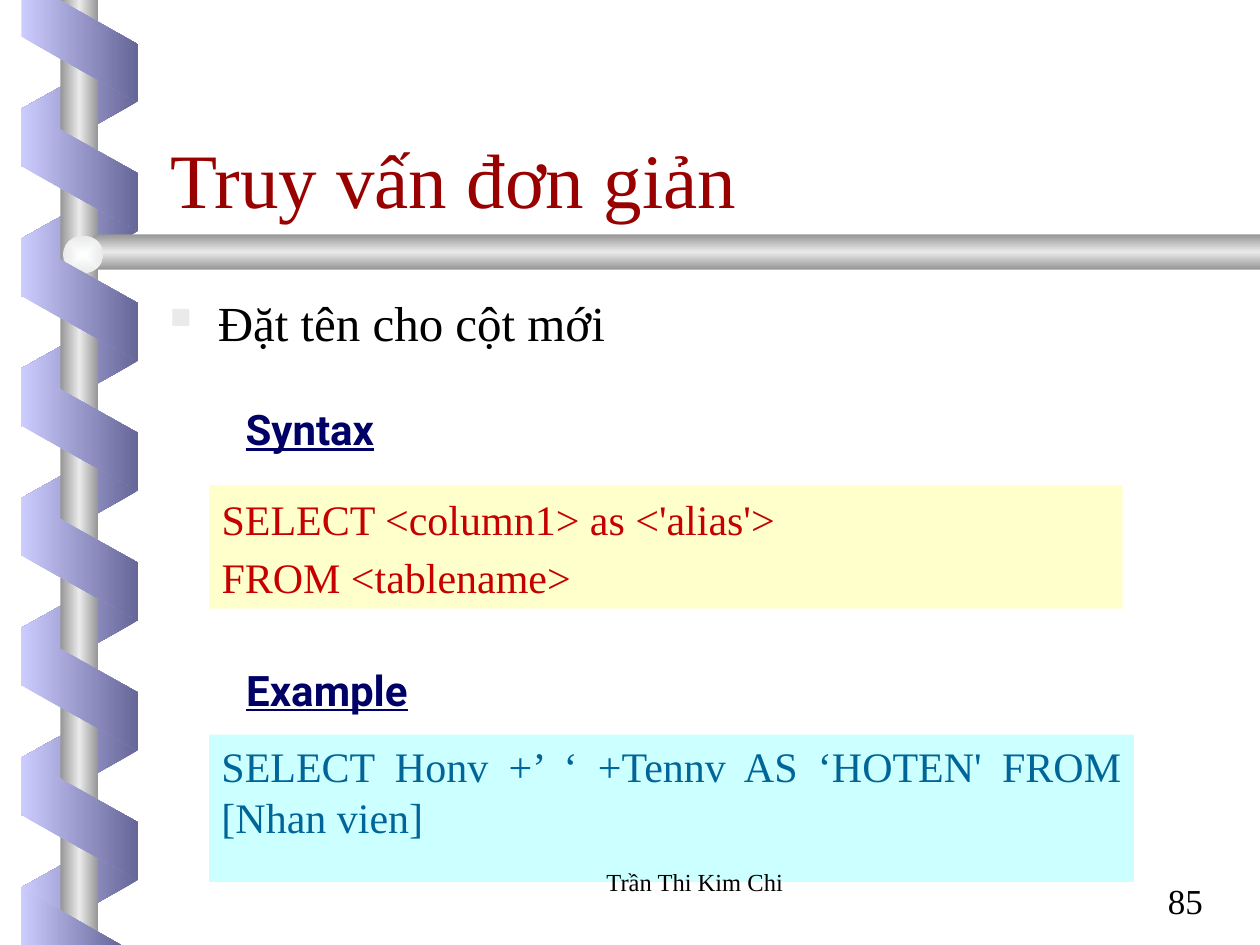
from pptx import Presentation
from pptx.dml.color import RGBColor
from pptx.enum.shapes import MSO_SHAPE as SHAPE
from pptx.enum.text import MSO_ANCHOR as ANCHOR, PP_ALIGN as ALIGN
from pptx.oxml import parse_xml
from pptx.oxml.ns import nsdecls
from pptx.util import Inches, Pt

SERIF, SANS = "Times New Roman", "Roboto"
LIGHT, DARK = "CCCCFF", "666699"
STEEL = ("969696", "EAEAEA", "969696")


def rgb(value):
    return RGBColor.from_string(value)


def box_in(left, top, width, height):
    return [Inches(v) for v in (left, top, width, height)]


def set_gradient(s, colors, angle=0, radial=False):
    """Fill s with evenly spaced colours, which keep their direction when s turns."""
    stops = "".join(
        f'<a:gs pos="{100000 * i // (len(colors) - 1)}"><a:srgbClr val="{c}"/></a:gs>'
        for i, c in enumerate(colors))
    if radial:
        course = ('<a:path path="shape"><a:fillToRect l="50000" t="50000" '
                  'r="50000" b="50000"/></a:path>')
    else:
        course = f'<a:lin ang="{angle * 60000}" scaled="1"/>'
    s.shadow.inherit = False
    s.line.fill.background()
    s.fill.background()
    no_fill = s._element.spPr.find("{*}noFill")
    no_fill.getparent().replace(no_fill, parse_xml(
        f'<a:gradFill rotWithShape="0" {nsdecls("a")}>'
        f'<a:gsLst>{stops}</a:gsLst>{course}</a:gradFill>'))


def add_preset(slide, kind, box, adj=None, flip=False, rotation=0):
    s = slide.shapes.add_shape(kind, *box_in(*box))
    if adj is not None:
        s.adjustments[0] = adj
    s.rotation = rotation
    if flip:
        s._element.spPr.xfrm.set("flipH", "1")
    return s


def add_bands(slide, left, top, count, pitch, rotation, flip, colors):
    for i in range(count):
        s = add_preset(slide, SHAPE.PARALLELOGRAM, (left, top + i * pitch, 0.98, 0.93),
                       0.56, flip, rotation)
        set_gradient(s, colors)


def add_band_end(slide, points):
    (x, y), *rest = [(Inches(px), Inches(py)) for px, py in points]
    builder = slide.shapes.build_freeform(x, y)
    builder.add_line_segments(rest, close=True)
    set_gradient(builder.convert_to_shape(), (LIGHT, DARK))


def add_spiral(slide, left, height):
    """Ribbon wound round a vertical rod, with a bar pinned across it."""
    pitch = 1.03
    add_bands(slide, left, 0.37, 7, pitch, 90, True, (DARK, LIGHT))
    rod = add_preset(slide, SHAPE.RECTANGLE, (left + 0.34, 0, 0.3, height))
    set_gradient(rod, STEEL)
    bar = add_preset(slide, SHAPE.PENTAGON, (left + 0.46, 1.86, 9.4, 0.28), 0.59, True)
    set_gradient(bar, STEEL, 90)
    pin = add_preset(slide, SHAPE.OVAL, (left + 0.36, 1.87, 0.32, 0.3))
    set_gradient(pin, ("FEFFFF", "EAEAEA"), radial=True)
    add_bands(slide, left, 0.88, 6, pitch, 270, False, (LIGHT, DARK))
    x = left + 0.03
    add_band_end(slide, [(x, 0), (x, 0.29), (x + 0.92, 0.81), (x + 0.92, 0.35), (x + 0.3, 0)])
    add_band_end(slide, [(x, height - 0.45), (x, height), (x + 0.79, height)])


def format_text(s, text, size, color, font=SERIF, align=ALIGN.LEFT,
                anchor=ANCHOR.TOP, wrap=True, bold=None, underline=None):
    tf = s.text_frame
    tf.text = text
    tf.word_wrap = wrap
    tf.vertical_anchor = anchor
    for i, p in enumerate(tf.paragraphs):
        p.alignment = align
        if i:
            p.space_before = Pt(size * 0.2)
        for r in p.runs:
            r.font.name, r.font.size = font, Pt(size)
            r.font.bold, r.font.underline = bold, underline
            r.font.color.rgb = rgb(color)


def add_text(slide, box, text, size, color="000000", **style):
    s = slide.shapes.add_textbox(*box_in(*box))
    format_text(s, text, size, color, **style)
    return s


def add_title(slide, box, text):
    s = slide.shapes.title
    s.left, s.top, s.width, s.height = box_in(*box)
    format_text(s, text, 44, "990000", anchor=ANCHOR.BOTTOM)


def add_bullet(slide, box, text):
    s = add_text(slide, box, text, 28, align=ALIGN.JUSTIFY)
    pPr = s.text_frame.paragraphs[0]._p.get_or_add_pPr()
    pPr.set("marL", str(Inches(0.38)))
    pPr.set("indent", str(-Inches(0.38)))
    for xml in ('<a:buClr {}><a:srgbClr val="EAEAEA"/></a:buClr>',
                '<a:buSzPct {} val="60000"/>',
                '<a:buChar {} char="■"/>'):
        pPr.append(parse_xml(xml.format(nsdecls("a"))))


def add_heading(slide, box, text):
    add_text(slide, box, text, 24, "000066", font=SANS, align=ALIGN.CENTER,
             anchor=ANCHOR.BOTTOM, wrap=False, bold=True, underline=True)


def add_code(slide, box, text, fill, color, **style):
    s = add_preset(slide, SHAPE.RECTANGLE, box)
    s.shadow.inherit = False
    s.fill.solid()
    s.fill.fore_color.rgb = rgb(fill)
    s.line.fill.background()
    format_text(s, text, 24, color, **style)


def main():
    prs = Presentation()
    prs.slide_width, prs.slide_height = Inches(10), Inches(7.5)
    slide = prs.slides.add_slide(prs.slide_layouts[5])
    add_spiral(slide, 0.14, 7.5)
    add_text(slide, (9.17, 6.93, 0.83, 0.43), "85", 20)
    add_title(slide, (1.25, 1, 8.52, 0.83), "Truy vấn đơn giản")
    add_bullet(slide, (1.25, 2.27, 8.75, 0.58), "Đặt tên cho cột mới")
    add_heading(slide, (1.73, 3.15, 1.46, 0.5), "Syntax")
    add_code(slide, (1.66, 3.85, 7.25, 0.98),
             "SELECT <column1> as <'alias'>\nFROM <tablename>",
             "FFFFCC", "C60000", anchor=ANCHOR.BOTTOM)
    add_code(slide, (1.66, 5.83, 7.34, 1.17),
             "SELECT Honv +’ ‘ +Tennv AS ‘HOTEN' FROM [Nhan vien]",
             "CCFFFF", "006699", align=ALIGN.JUSTIFY)
    add_heading(slide, (1.78, 5.22, 1.63, 0.5), "Example")
    add_text(slide, (3.93, 6.83, 3.17, 0.5), "Trần Thi Kim Chi", 14, align=ALIGN.CENTER)
    prs.save("out.pptx")


if __name__ == "__main__":
    main()
